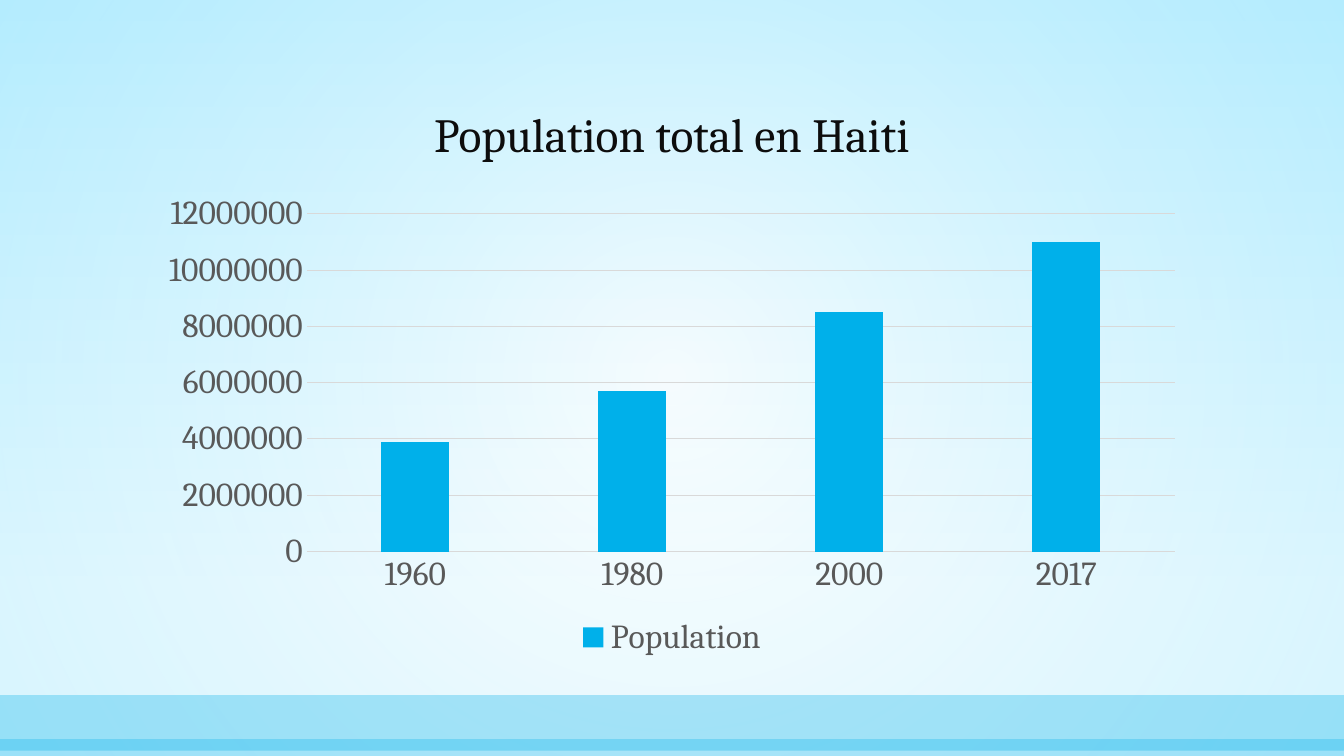
from lxml import etree
from pptx import Presentation
from pptx import util as u
from pptx.chart.data import CategoryChartData
from pptx.dml.color import RGBColor
from pptx.enum import chart as ch, shapes, text
from pptx.oxml.ns import nsdecls, qn

PX = 9525  # EMU per px, 96 px to the inch
WIDTH, HEIGHT = 1280, 720
FONT = "Cambria"

WHITE = RGBColor(0xFF, 0xFF, 0xFF)
PALE_SKY = RGBColor(0xC8, 0xF1, 0xFF)
SKY = RGBColor(0x91, 0xE4, 0xFF)
AZURE = RGBColor(0x00, 0xB0, 0xEA)
INK = RGBColor(0x0D, 0x0D, 0x0D)
GREY = RGBColor(0x59, 0x59, 0x59)
RULE = RGBColor(0xD9, 0xD9, 0xD9)

POPULATION = {"1960": 3900000, "1980": 5700000, "2000": 8500000, "2017": 11000000}


def px(*lengths):
    return [u.Emu(length * PX) for length in lengths]


def set_font(font, size, color):
    font.name, font.size, font.color.rgb = FONT, u.Pt(size), color


def write(frame, content, size, color, align, anchor, spacing):
    frame.word_wrap = True
    frame.vertical_anchor = anchor
    line = frame.paragraphs[0]
    line.alignment, line.line_spacing = align, spacing
    run = line.add_run()
    run.text = content
    set_font(run.font, size, color)


def set_gradient(owner, stops, direction):
    """Replace the solid fill in owner; stops are (percent, colour, opacity percent)."""
    marks = "".join(
        f'<a:gs pos="{pos * 1000}"><a:srgbClr val="{color}">'
        f'<a:alpha val="{opacity * 1000}"/></a:srgbClr></a:gs>'
        for pos, color, opacity in stops)
    gradient = etree.fromstring(
        f'<a:gradFill {nsdecls("a")} rotWithShape="1"><a:gsLst>{marks}</a:gsLst>'
        f'{direction}</a:gradFill>')
    solid = owner.find(qn("a:solidFill"))
    owner.replace(solid, gradient)


def add_band(slide, top, height, color, opacity=100):
    """Add a full-width rectangle without outline."""
    band = slide.shapes.add_shape(
        shapes.MSO_SHAPE.RECTANGLE, *px(0, top, WIDTH, height))
    band.shadow.inherit = False
    band.line.fill.background()
    band.fill.solid()
    band.fill.fore_color.rgb = color
    tint = band.fill._xPr.find(qn("a:solidFill"))[0]
    etree.SubElement(tint, qn("a:alpha")).set("val", str(opacity * 1000))
    return band


def add_backdrop(slide):
    slide.background.fill.solid()
    slide.background.fill.fore_color.rgb = WHITE
    set_gradient(next(slide.element.iter(qn("p:bgPr"))),
                 [(0, PALE_SKY, 56), (79, WHITE, 100)],
                 '<a:lin ang="5400000" scaled="0"/>')
    glow = add_band(slide, 0, HEIGHT, WHITE)
    set_gradient(glow.element.spPr, [(0, WHITE, 49), (100, SKY, 35)],
                 '<a:path path="circle">'
                 '<a:fillToRect l="50000" t="50000" r="50000" b="50000"/></a:path>')
    add_band(slide, 662, 53, AZURE, 30)
    add_band(slide, 704, 16, AZURE, 28)


def add_title(slide, content):
    title = slide.shapes.title
    title.left, title.top, title.width, title.height = px(141, 46, 998, 114)
    write(title.text_frame, content, size=34, color=INK,
          align=text.PP_ALIGN.CENTER, anchor=text.MSO_ANCHOR.BOTTOM, spacing=0.9)
    slide.shapes.element.append(title.element)  # in front of the backdrop


def format_axis(axis):
    axis.major_tick_mark = axis.minor_tick_mark = ch.XL_TICK_MARK.NONE
    set_font(axis.tick_labels.font, 24, GREY)


def draw_rule(line):
    line.color.rgb, line.width = RULE, u.Pt(0.75)


def add_population_chart(slide):
    data = CategoryChartData(number_format="General")
    data.categories = POPULATION.keys()
    data.add_series("Population", POPULATION.values())
    chart = slide.shapes.add_chart(
        ch.XL_CHART_TYPE.COLUMN_CLUSTERED, *px(141, 176, 998, 456), data).chart
    chart.has_title = False
    chart.font.name = FONT

    columns = chart.plots[0]
    columns.vary_by_categories = False
    columns.gap_width, columns.overlap = 219, -27
    fill = columns.series[0].format.fill
    fill.solid()
    fill.fore_color.rgb = AZURE

    years, people = chart.category_axis, chart.value_axis
    format_axis(years)
    draw_rule(years.format.line)
    format_axis(people)
    people.format.line.fill.background()
    people.minimum_scale, people.maximum_scale = 0, 12000000
    people.major_unit = 2000000
    people.has_major_gridlines = True
    draw_rule(people.major_gridlines.format.line)

    chart.has_legend = True
    chart.legend.position = ch.XL_LEGEND_POSITION.BOTTOM
    chart.legend.include_in_layout = False
    set_font(chart.legend.font, 24, GREY)


def main():
    deck = Presentation()
    deck.slide_width, deck.slide_height = px(WIDTH, HEIGHT)
    slide = deck.slides.add_slide(deck.slide_layouts[5])
    add_backdrop(slide)
    add_title(slide, "Population total en Haiti")
    add_population_chart(slide)
    deck.save("out.pptx")


if __name__ == "__main__":
    main()
